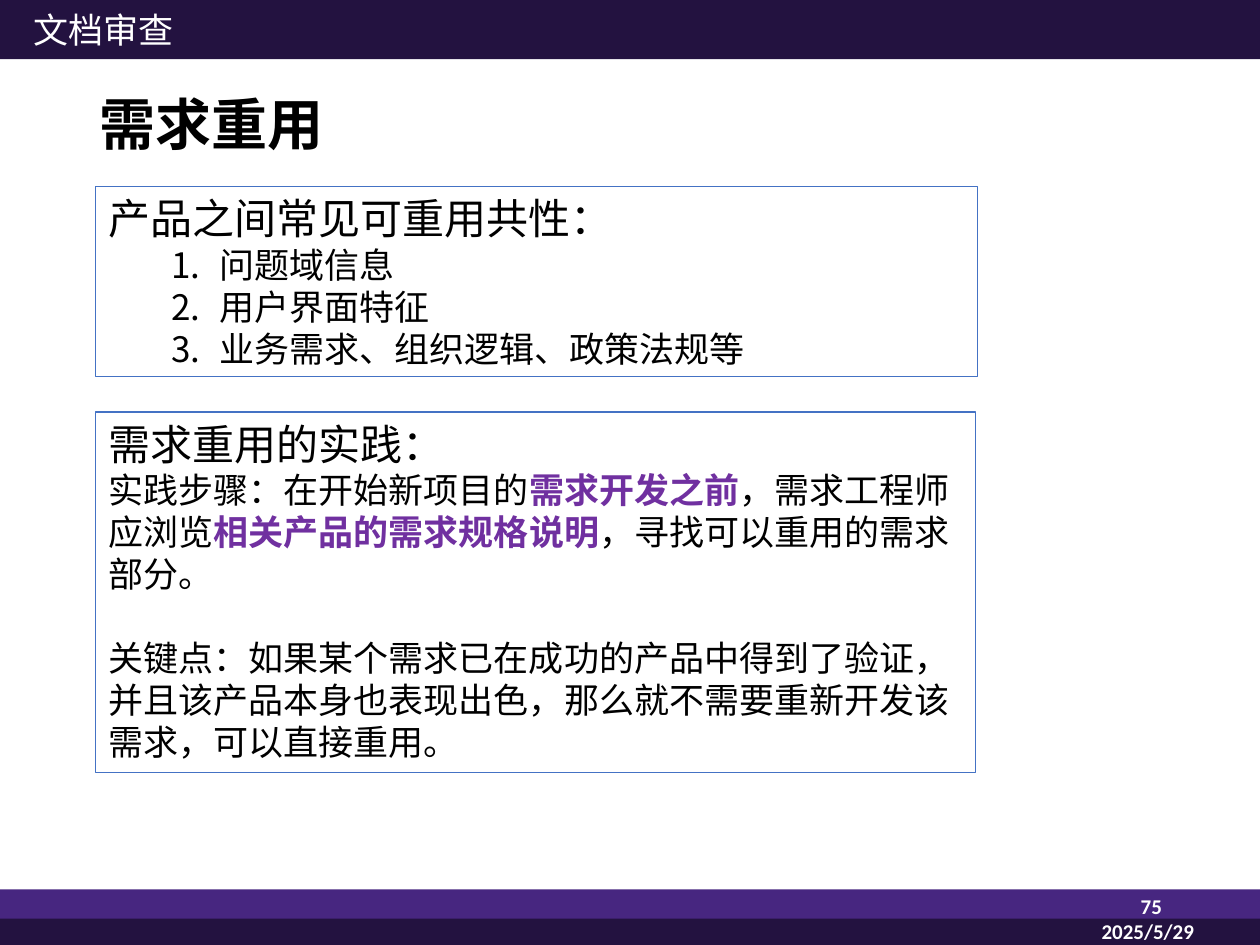
from lxml.etree import SubElement
from pptx import Presentation
from pptx.dml.color import RGBColor
from pptx.enum.shapes import MSO_SHAPE
from pptx.enum.text import MSO_ANCHOR, MSO_AUTO_SIZE, PP_ALIGN
from pptx.oxml.ns import qn
from pptx.util import Inches, Pt

HUES = {"dark": "231240", "mid": "472680", "line": "4472C4",
        "key": "7030A0", "black": "000000", "white": "FFFFFF"}
HUES = {name: RGBColor.from_string(code) for name, code in HUES.items()}
HAN, LATIN = "Noto Sans CJK SC", "Calibri"


def add_run(para, text, size, hue="black", bold=False, face=HAN):
    run = para.add_run()
    run.text = text
    look = {"size": Pt(size), "bold": bold, "name": face}
    for key, value in look.items():
        setattr(run.font, key, value)
    run.font.color.rgb = HUES[hue]
    SubElement(run.font._element, qn("a:ea"), typeface=face)


def place(shape, *box):
    for side, value in zip(("left", "top", "width", "height"), box):
        setattr(shape, side, Inches(value))


deck = Presentation()
deck.slide_width, deck.slide_height = Inches(10), Inches(7.5)
slide = deck.slides.add_slide(deck.slide_layouts[3])
title, *bodies = slide.placeholders

# Header and footer bars
for top, high, hue in [(7.06, 0.24, "mid"), (7.29, 0.21, "dark"), (0, 0.47, "dark")]:
    bar = slide.shapes.add_shape(MSO_SHAPE.RECTANGLE, 0, Inches(top),
                                 deck.slide_width, Inches(high))
    bar.shadow.inherit = False
    bar.fill.solid()
    bar.fill.fore_color.rgb = HUES[hue]
    bar.line.fill.background()

# Section name, page number and date
labels = [
    ("文档审查", (0.17, 0.02, 1.31, 0.44), 20, False, HAN, PP_ALIGN.LEFT),
    ("75", (8.67, 7.04, 0.65, 0.3), 12, True, LATIN, PP_ALIGN.RIGHT),
    ("2025/5/29", (8.54, 7.24, 1.14, 0.3), 12, True, LATIN, PP_ALIGN.CENTER),
]
for text, box, size, bold, face, align in labels:
    label = slide.shapes.add_textbox(*map(Inches, box))
    label.text_frame.word_wrap = face == LATIN
    para = label.text_frame.paragraphs[0]
    para.alignment = align
    if face == HAN:
        para.line_spacing = Pt(24)
    add_run(para, text, size, "white", bold, face)

# Title
place(title, 0.69, 0.65, 8.62, 0.72)
title.text_frame.vertical_anchor = MSO_ANCHOR.MIDDLE
title.text_frame.auto_size = MSO_AUTO_SIZE.NONE
para = title.text_frame.paragraphs[0]
para.alignment = PP_ALIGN.LEFT
para.line_spacing = 0.9
add_run(para, "需求重用", 32, bold=True)

# Each paragraph: kind, then pieces of text; every second piece is a key phrase
panels = [
    ((0.76, 1.48, 7, 1.51), [
        ("head", "产品之间常见可重用共性："),
        ("item", "问题域信息"),
        ("item", "用户界面特征"),
        ("item", "业务需求、组织逻辑、政策法规等"),
    ]),
    ((0.76, 3.27, 6.98, 2.86), [
        ("head", "需求重用的实践："),
        ("text", "实践步骤：在开始新项目的", "需求开发之前", "，需求工程师应浏览",
         "相关产品的需求规格说明", "，寻找可以重用的需求部分。"),
        ("apart", "关键点：如果某个需求已在成功的产品中得到了验证，并且该产品本身也表现出色，"
                  "那么就不需要重新开发该需求，可以直接重用。"),
    ]),
]
for body, (box, rows) in zip(bodies, panels):
    place(body, *box)
    body.line.color.rgb = HUES["line"]
    body.line.width = Pt(0.75)
    frame = body.text_frame
    frame.auto_size = MSO_AUTO_SIZE.NONE
    frame.vertical_anchor = MSO_ANCHOR.TOP
    for row, (kind, *parts) in enumerate(rows):
        para = frame.add_paragraph() if row else frame.paragraphs[0]
        props = para._p.get_or_add_pPr()
        if kind == "item":
            para.level = 1
            props.set("marL", str(Inches(0.88)))
            props.set("indent", str(Inches(-0.38)))
            SubElement(props, qn("a:buFont"), typeface=HAN)
            SubElement(props, qn("a:buAutoNum"), type="arabicPeriod")
        else:
            props.set("marL", "0")
            props.set("indent", "0")
            SubElement(props, qn("a:buNone"))
        size = 24 if kind == "head" else 20
        para.line_spacing = Pt(size * 1.2)
        para.space_before = Pt(24 if kind == "apart" else 0)
        for turn, part in enumerate(parts):
            key = turn % 2 == 1
            add_run(para, part, size, "key" if key else "black", key)

deck.save("out.pptx")
